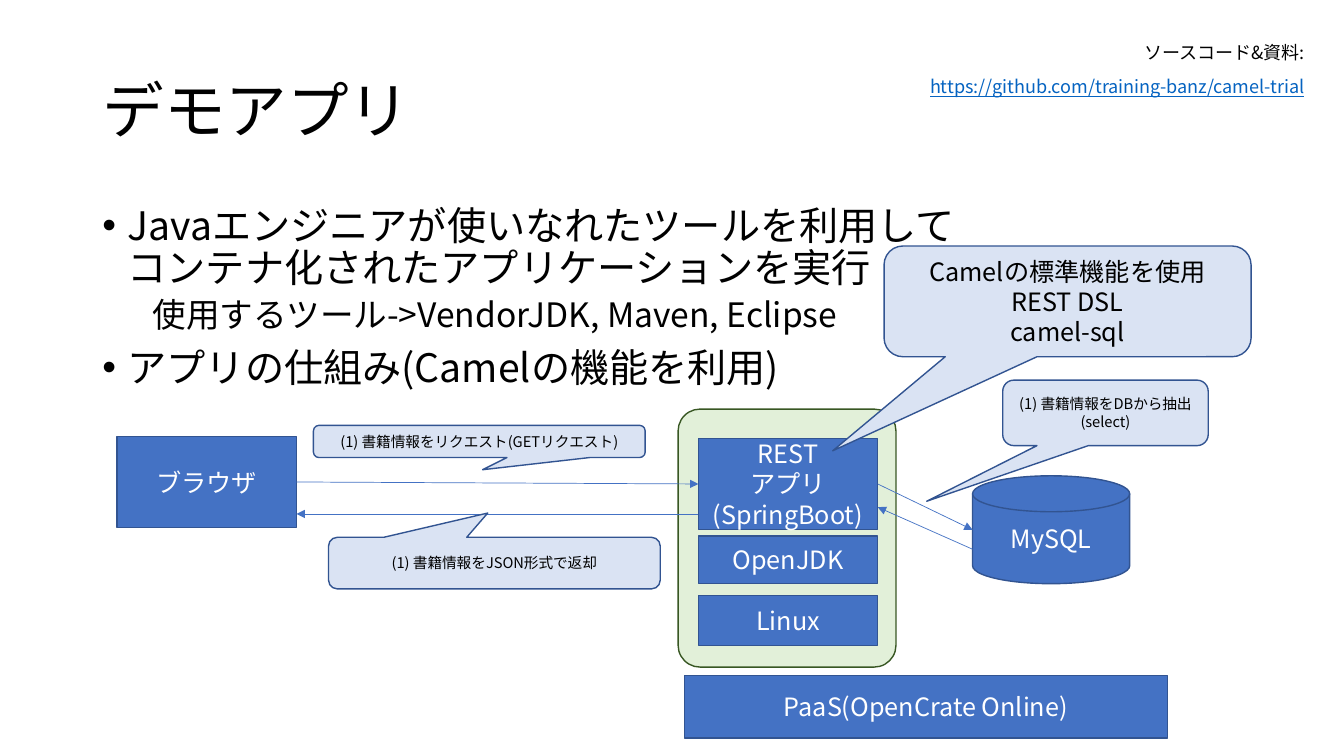
from dataclasses import dataclass

from pptx import Presentation
from pptx.dml.color import RGBColor as RGB
from pptx.enum.shapes import MSO_CONNECTOR as Line, MSO_SHAPE as Shape
from pptx.enum.text import MSO_ANCHOR as Anchor, MSO_AUTO_SIZE as Fit, PP_ALIGN as Align
from pptx.oxml.ns import qn
from pptx.util import Cm, Pt
from lxml.etree import SubElement


@dataclass(frozen=True)
class Theme:
    font: str = "Noto Sans CJK JP"
    black: str = "000000"
    white: str = "FFFFFF"
    blue: str = "4472C4"
    edge: str = "325491"
    pale: str = "DAE3F3"
    green: str = "E2F0D9"
    green_edge: str = "385723"
    link: str = "0563C1"
    title: float = 44
    body: float = 28
    sub: float = 24
    label: float = 18
    source: float = 12.9
    note: float = 10.5


T = Theme()

TITLE = "デモアプリ"
BODY = [
    ("Javaエンジニアが使いなれたツールを利用して\vコンテナ化されたアプリケーションを実行", True),
    ("使用するツール->VendorJDK, Maven, Eclipse", False),
    ("アプリの仕組み(Camelの機能を利用)", True),
]
SOURCE = ["ソースコード&資料:", "https://github.com/training-banz/camel-trial"]

TITLE_BOX = (2.33, 1.01, 29.21, 3.68)
BODY_BOX = (2.33, 5.08, 29.21, 12.09)
SOURCE_BOX = (22.4, 0.99, 10.72, 1.85)
SERVER_BOX = (17.09, 10.31, 5.49, 6.5)
STACK_X, NODE_W, NODE_H = 17.6, 4.52, 2.29
DISK_X = 24.51

NODES = {
    "app": (Shape.RECTANGLE, (STACK_X, 11.05, NODE_W, NODE_H), "REST\nアプリ\n(SpringBoot)"),
    "jdk": (Shape.RECTANGLE, (STACK_X, 13.51, NODE_W, 1.19), "OpenJDK"),
    "os": (Shape.RECTANGLE, (STACK_X, 15.01, NODE_W, 1.25), "Linux"),
    "browser": (Shape.RECTANGLE, (2.95, 11, NODE_W, NODE_H), "ブラウザ"),
    "db": (Shape.FLOWCHART_MAGNETIC_DISK, (DISK_X, 11.99, 3.96, 2.72), "MySQL"),
    "paas": (Shape.RECTANGLE, (17.25, 17.02, 12.17, 1.58), "PaaS(OpenCrate Online)"),
}
CALLOUTS = [
    ((22.28, 6.2, 9.25, 2.79), (-0.64, 1.35), "Camelの標準機能を使用\nREST DSL\ncamel-sql", T.label),
    ((7.9, 10.72, 8.36, 0.81), (0.01, 0.88), "(1) 書籍情報をリクエスト(GETリクエスト)", T.note),
    ((25.27, 9.58, 5.18, 1.65), (-0.87, 1.35), "(1) 書籍情報をDBから抽出(select)", T.note),
    ((8.28, 13.54, 8.36, 1.3), (-0.02, -0.97), "(1) 書籍情報をJSON形式で返却", T.note),
]
APP_RIGHT = STACK_X + NODE_W
BROWSER_RIGHT = 2.95 + NODE_W
ARROWS = [
    ((BROWSER_RIGHT, 12.14), (STACK_X, 12.2), ("browser", 3), ("app", 1)),
    ((APP_RIGHT, 12.2), (DISK_X, 13.35), ("app", 3), None),
    ((STACK_X, 12.95), (BROWSER_RIGHT, 12.95), None, None),
    ((DISK_X, 13.84), (APP_RIGHT, 12.78), None, None),
]


def cm(values):
    return [Cm(v) for v in values]


def style(p, size, color, align, spacing=None):
    p.alignment = align
    if spacing:
        p.line_spacing = spacing
    for r in p.runs:
        r.font.size, r.font.name = Pt(size), T.font
        r.font.color.rgb = RGB.from_string(color)
        SubElement(r.font._element, qn("a:ea")).set("typeface", T.font)


def add_box(s, kind, box, fill, edge, text="", size=T.label, color=T.white, adjust=()):
    sp = s.shapes.add_shape(kind, *cm(box))
    sp.shadow.inherit = False
    sp.fill.solid()
    sp.fill.fore_color.rgb = RGB.from_string(fill)
    sp.line.color.rgb = RGB.from_string(edge)
    sp.line.width = Pt(1)
    for i, value in enumerate(adjust):
        sp.adjustments[i] = value
    if text:
        tf = sp.text_frame
        tf.text, tf.word_wrap, tf.vertical_anchor = text, True, Anchor.MIDDLE
        for p in tf.paragraphs:
            style(p, size, color, Align.CENTER)
    return sp


def add_text(s, box, lines):
    tf = s.shapes.add_textbox(*cm(box)).text_frame
    tf.word_wrap = True
    tf.text = "\n".join(lines)
    return tf.paragraphs


def add_arrow(s, nodes, start, end, source, target):
    c = s.shapes.add_connector(Line.STRAIGHT, *cm(start + end))
    if source:
        c.begin_connect(nodes[source[0]], source[1])
    if target:
        c.end_connect(nodes[target[0]], target[1])
    c.line.color.rgb = RGB.from_string(T.blue)
    c.line.width = Pt(0.5)
    SubElement(c.line._get_or_add_ln(), qn("a:tailEnd")).set("type", "triangle")
    SubElement(c._element.spPr, qn("a:effectLst"))


def add_title(s):
    sp = s.shapes.title
    sp.left, sp.top, sp.width, sp.height = cm(TITLE_BOX)
    tf = sp.text_frame
    tf.text, tf.vertical_anchor, tf.auto_size = TITLE, Anchor.MIDDLE, Fit.NONE
    style(tf.paragraphs[0], T.title, T.black, Align.LEFT, 0.9)


def add_body(s):
    paragraphs = add_text(s, BODY_BOX, [text for text, _ in BODY])
    for i, (p, (_, bullet)) in enumerate(zip(paragraphs, BODY)):
        pPr = p._p.get_or_add_pPr()
        pPr.set("marL", str(Cm(0.64 if bullet else 1.27)))
        pPr.set("indent", str(Cm(-0.64 if bullet else 0)))
        if bullet:
            SubElement(pPr, qn("a:buFont")).set("typeface", "Arial")
            SubElement(pPr, qn("a:buChar")).set("char", "•")
        style(p, T.body if bullet else T.sub, T.black, Align.LEFT, 0.9)
        if i:
            p.space_before = Pt(10 if bullet else 5)


def add_source(s):
    caption, link = add_text(s, SOURCE_BOX, SOURCE)
    style(caption, T.source, T.black, Align.RIGHT, 0.9)
    style(link, T.source, T.link, Align.RIGHT, 0.9)
    link.space_before = Pt(10)
    link.runs[0].font.underline = True


def main():
    """Build the demo application slide."""
    prs = Presentation()
    prs.slide_width, prs.slide_height = cm((33.87, 19.05))
    s = prs.slides.add_slide(prs.slide_layouts[5])
    add_box(s, Shape.ROUNDED_RECTANGLE, SERVER_BOX, T.green, T.green_edge, adjust=(0.1,))
    add_title(s)
    add_body(s)
    nodes = {name: add_box(s, kind, box, T.blue, T.edge, text)
             for name, (kind, box, text) in NODES.items()}
    for arrow in ARROWS:
        add_arrow(s, nodes, *arrow)
    for box, tip, text, size in CALLOUTS:
        add_box(s, Shape.ROUNDED_RECTANGULAR_CALLOUT, box, T.pale, T.edge,
                text, size, T.black, tip + (0.17,))
    add_source(s)
    prs.save("out.pptx")


if __name__ == "__main__":
    main()
